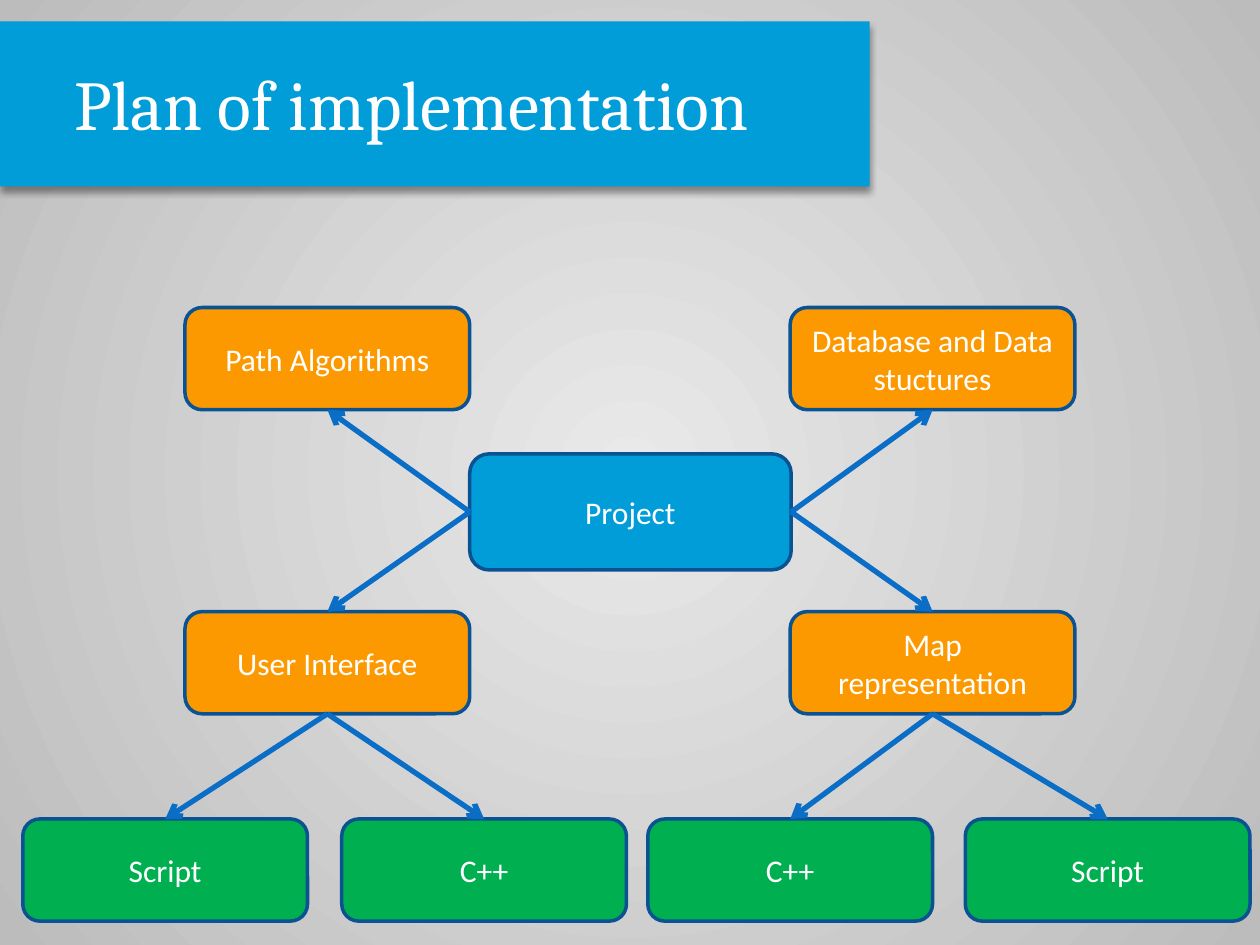
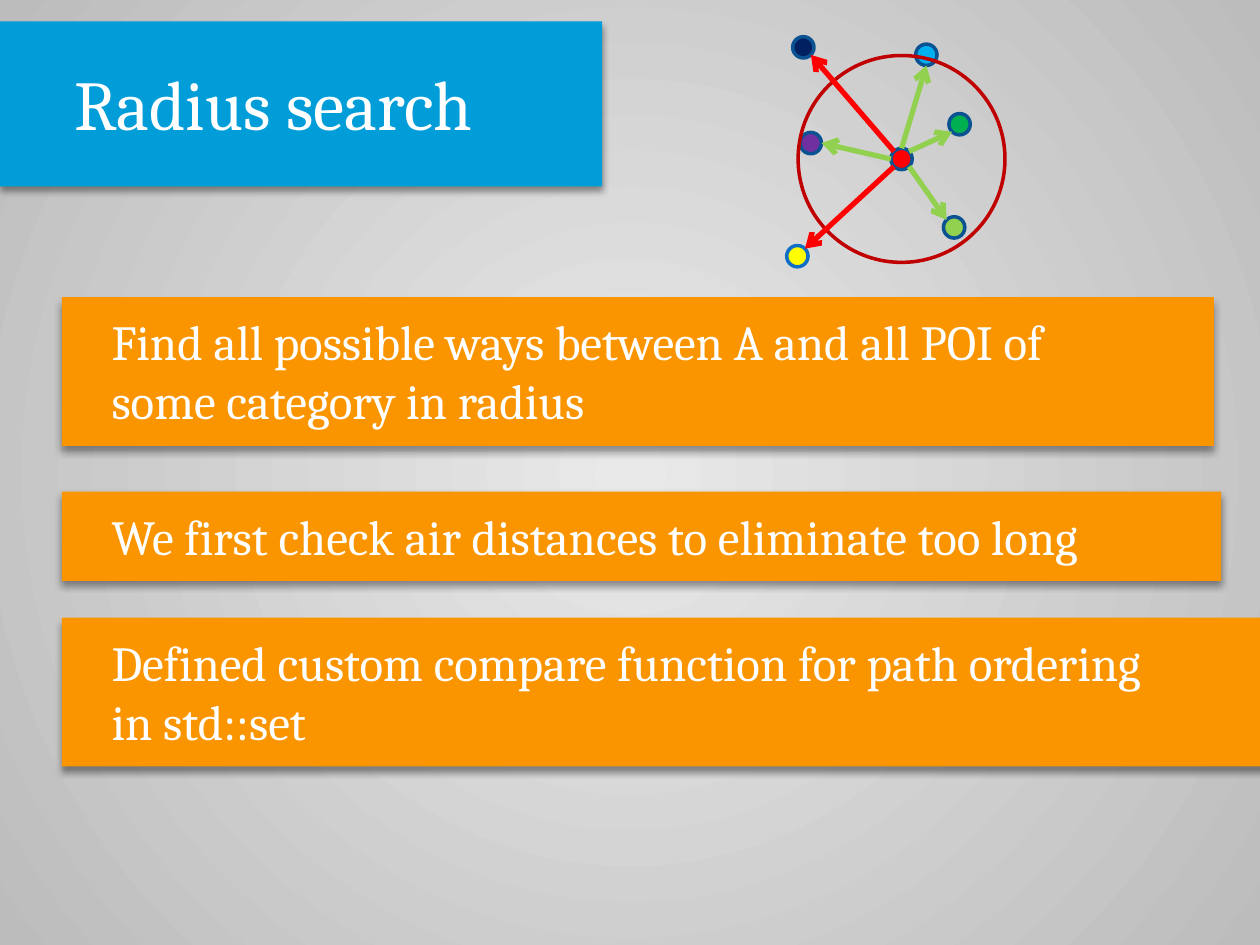
import dataclasses
import math

import lxml.etree
import pptx
import pptx.dml.color
import pptx.enum.shapes
import pptx.enum.text
import pptx.oxml.ns
import pptx.util

Cm = pptx.util.Cm
Pt = pptx.util.Pt
SHAPE = pptx.enum.shapes.MSO_SHAPE
ANCHOR = pptx.enum.text.MSO_ANCHOR
ALIGN = pptx.enum.text.PP_ALIGN
qn = pptx.oxml.ns.qn


@dataclasses.dataclass(frozen=True)
class Theme:
    glow: str = "E9E9E9"
    edge: str = "BCBCBC"
    blue: str = "009DD9"
    bar: str = "FA9500"
    branch: str = "FD9900"
    green: str = "00B050"
    outline: str = "0B5292"
    arrow: str = "0A6DC6"
    lime: str = "92D050"
    red: str = "FF0000"
    ring: str = "C00000"
    text: str = "FFFFFF"
    shadow: str = "000000"
    serif: str = "Cambria"
    sans: str = "Calibri"
    title_size: int = 40
    bar_size: int = 28
    node_size: int = 18
    outline_width: int = 2
    arrow_width: int = 3


THEME = Theme()
LEAF_SIZE = (5.74, 2.06)
TOP, LEFT, BOTTOM, RIGHT = range(4)


def rgb(value):
    return pptx.dml.color.RGBColor.from_string(value)


def add_child(parent, tag, **attributes):
    return lxml.etree.SubElement(parent, qn(tag), attributes)


def set_background(master):
    fill = master.background.fill
    fill.gradient()
    for stop, color in zip(fill.gradient_stops, (THEME.glow, THEME.edge)):
        stop.color.rgb = rgb(color)
    grad = master.element.find(".//" + qn("a:gradFill"))
    grad.remove(grad.find(qn("a:lin")))
    circle = add_child(grad, "a:path", path="circle")
    add_child(circle, "a:fillToRect", **dict.fromkeys("ltrb", "50000"))


def write_text(sp, text, font, size, align, anchor, inset=(0.25, 0.13)):
    tf = sp.text_frame
    tf.text = text
    tf.word_wrap = True
    tf.auto_size = pptx.enum.text.MSO_AUTO_SIZE.NONE
    tf.vertical_anchor = anchor
    tf.margin_left = tf.margin_right = Cm(inset[0])
    tf.margin_top = tf.margin_bottom = Cm(inset[1])
    for p in tf.paragraphs:
        p.alignment = align
        for r in p.runs:
            r.font.name = font
            r.font.size = Pt(size)
            r.font.color.rgb = rgb(THEME.text)


def style_banner(sp, color, text, size, inset):
    sp.fill.solid()
    sp.fill.fore_color.rgb = rgb(color)
    sp.line.fill.background()
    sp.shadow.inherit = False
    effects = sp.element.spPr.find(qn("a:effectLst"))
    outer = add_child(effects, "a:outerShdw", blurRad=str(Pt(4)), dist=str(Pt(3)),
                      dir="5400000", algn="t", rotWithShape="0")
    shade = add_child(outer, "a:srgbClr", val=THEME.shadow)
    add_child(shade, "a:alpha", val="40000")
    write_text(sp, text, THEME.serif, size, ALIGN.LEFT, ANCHOR.TOP, inset)


def add_outlined(s, kind, box, fill, line=THEME.outline):
    sp = s.shapes.add_shape(kind, *map(Cm, box))
    sp.shadow.inherit = False
    if fill:
        sp.fill.solid()
        sp.fill.fore_color.rgb = rgb(fill)
    else:
        sp.fill.background()
    sp.line.color.rgb = rgb(line)
    sp.line.width = Pt(THEME.outline_width)
    return sp


def add_arrow(s, color, start=(0, 0), end=(0, 0)):
    line = s.shapes.add_connector(pptx.enum.shapes.MSO_CONNECTOR.STRAIGHT,
                                  *map(Cm, start + end))
    line.line.color.rgb = rgb(color)
    line.line.width = Pt(THEME.arrow_width)
    add_child(line.line._get_or_add_ln(), "a:tailEnd", type="arrow")
    add_child(line.element.spPr, "a:effectLst")
    return line


def add_titled_slide(prs, title, width):
    s = prs.slides.add_slide(prs.slide_layouts.get_by_name("Title Only"))
    sp = s.shapes.title
    sp.left, sp.top, sp.width, sp.height = map(Cm, (0, 0.43, width, 3.33))
    style_banner(sp, THEME.blue, title, THEME.title_size, (1.5, 0.79))
    return s


def add_node(s, text, box, color):
    sp = add_outlined(s, SHAPE.ROUNDED_RECTANGLE, box, color)
    write_text(sp, text, THEME.sans, THEME.node_size, ALIGN.CENTER, ANCHOR.MIDDLE)
    return sp


def link_nodes(s, parent, parent_site, child, child_site):
    line = add_arrow(s, THEME.arrow)
    line.begin_connect(parent, parent_site)
    line.end_connect(child, child_site)


def draw_project_tree(s, left, top):
    project = add_node(s, "Project", (left + 9.01, top + 2.95, 6.48, 2.34), THEME.blue)
    branches = [
        ("Path Algorithms", 3.27, 0, LEFT, BOTTOM, []),
        ("User Interface", 3.27, 6.13, LEFT, TOP, [("Script", 0), ("C++", 6.43)]),
        ("Map representation", 15.47, 6.13, RIGHT, TOP, [("C++", 12.6), ("Script", 19)]),
        ("Database and Data stuctures", 15.47, 0, RIGHT, BOTTOM, []),
    ]
    links = []
    for text, x, y, project_site, branch_site, leaves in branches:
        branch = add_node(s, text, (left + x, top + y, *LEAF_SIZE), THEME.branch)
        links.append((project, project_site, branch, branch_site))
        for leaf_text, leaf_x in leaves:
            leaf = add_node(s, leaf_text, (left + leaf_x, top + 10.31, *LEAF_SIZE),
                            THEME.green)
            links.append((branch, BOTTOM, leaf, TOP))
    for link in links:
        link_nodes(s, *link)


def draw_radius_sketch(s, left, top, size):
    dot = 0.43
    cx, cy = left + size / 2, top + size / 2
    points = [
        (-1.98, -2.25, "002060", THEME.outline, THEME.red),
        (0.5, -2.1, "00B0F0", THEME.outline, THEME.lime),
        (1.17, -0.7, THEME.green, THEME.outline, THEME.lime),
        (1.06, 1.38, THEME.lime, THEME.outline, THEME.lime),
        (-1.83, -0.32, "7030A0", THEME.outline, THEME.lime),
        (-2.1, 1.96, "FFFF00", "0F6FC6", THEME.red),
    ]
    for dx, dy, fill, line, _ in [(0, 0, THEME.red, THEME.outline, None)] + points:
        add_outlined(s, SHAPE.OVAL, (cx + dx - dot / 2, cy + dy - dot / 2, dot, dot),
                     fill, line)
    add_outlined(s, SHAPE.OVAL, (left, top, size, size), None, THEME.ring)
    octant = math.pi / 4
    for dx, dy, _, _, color in points:
        angle = round(math.atan2(dy, dx) / octant) * octant
        ox, oy = dot / 2 * math.cos(angle), dot / 2 * math.sin(angle)
        add_arrow(s, color, (cx + ox, cy + oy), (cx + dx - ox, cy + dy - oy))


def draw_bars(s, left, top):
    bars = [
        ("Find all possible ways between A and all POI of\vsome category in radius",
         0, 23.22, 3),
        ("We first check air distances to eliminate too long", 3.92, 23.37, 1.8),
        ("Defined custom compare function for path ordering\vin std::set",
         6.46, 24.51, 3),
    ]
    for text, y, width, height in bars:
        sp = s.shapes.add_shape(SHAPE.RECTANGLE,
                                *map(Cm, (left, top + y, width, height)))
        style_banner(sp, THEME.bar, text, THEME.bar_size, (1, 0.3))


def main():
    prs = pptx.Presentation()
    prs.slide_width, prs.slide_height = Cm(25.4), Cm(19.05)
    set_background(prs.slide_master)
    plan = add_titled_slide(prs, "Plan of implementation", 17.53)
    draw_project_tree(plan, 0.46, 6.2)
    radius = add_titled_slide(prs, "Radius search", 12.14)
    draw_bars(radius, 1.25, 5.99)
    draw_radius_sketch(radius, 16.09, 1.12, 4.17)
    prs.save("out.pptx")


if __name__ == "__main__":
    main()
